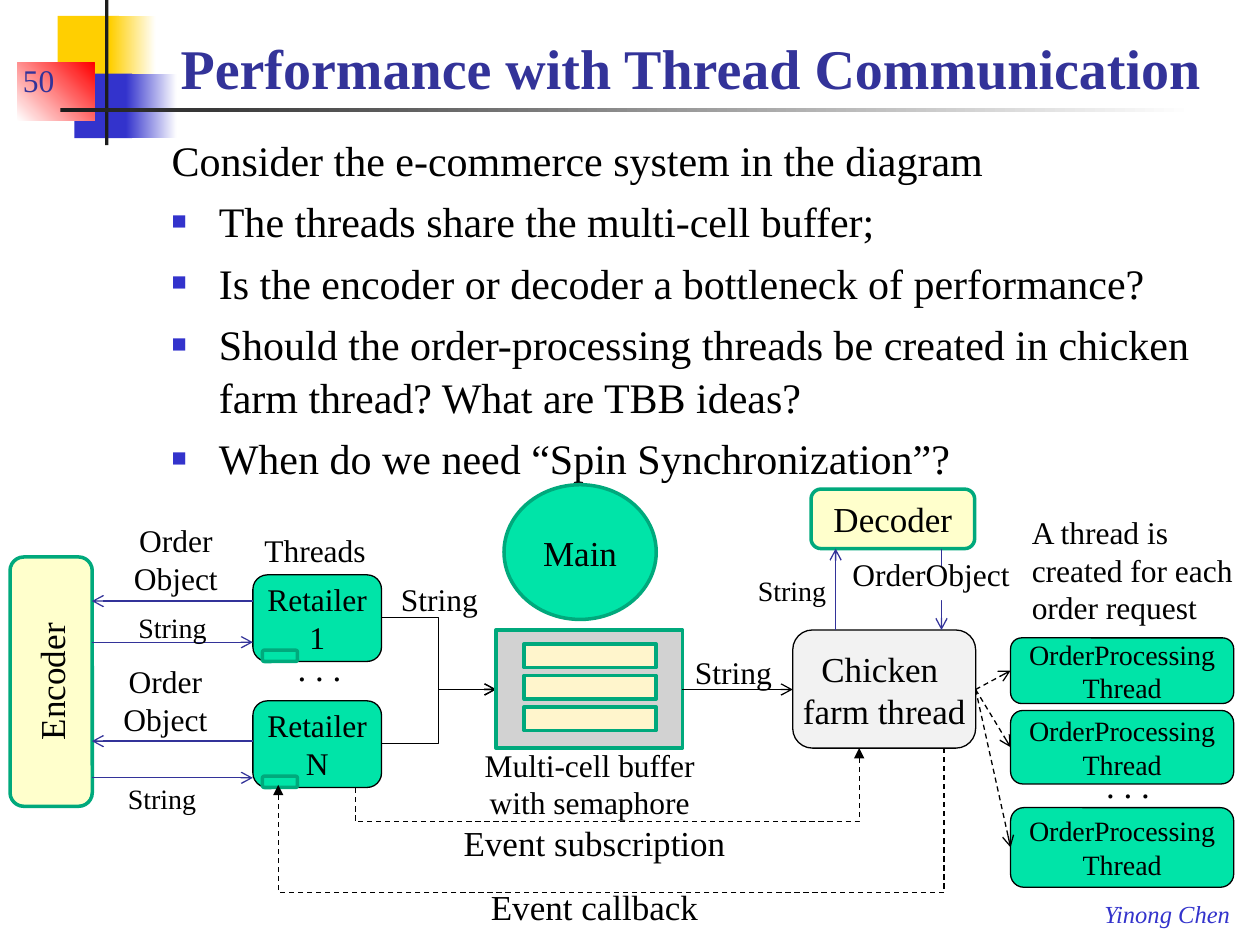
from lxml.etree import SubElement
from pptx import Presentation
from pptx.dml.color import RGBColor
from pptx.enum.dml import MSO_LINE
from pptx.enum.shapes import MSO_CONNECTOR as Link, MSO_SHAPE as Kind
from pptx.enum.text import MSO_ANCHOR as Anchor, MSO_AUTO_SIZE as Auto, PP_ALIGN as Align
from pptx.oxml.ns import qn
from pptx.util import Pt

FONT = "Times New Roman"
BLACK = RGBColor(0, 0, 0)
WHITE = RGBColor(0xFF, 0xFF, 0xFF)
INK = RGBColor(0x1C, 0x1C, 0x1C)
NAVY = RGBColor(0x33, 0x33, 0x99)
BLUE = RGBColor(0x33, 0x33, 0xCC)
GOLD = RGBColor(0xFF, 0xCF, 0x01)
RED = RGBColor(0xFF, 0, 0)
GREEN = RGBColor(0, 0xE4, 0xA8)
EDGE = RGBColor(0, 0xA9, 0x7C)
CREAM = RGBColor(0xFF, 0xFF, 0xCC)
SAND = RGBColor(0xFF, 0xF5, 0xCC)
GREY = RGBColor(0xD2, 0xD2, 0xD2)
PALE = RGBColor(0xF2, 0xF2, 0xF2)

BULLETS = [
    "The threads share the multi-cell buffer;",
    "Is the encoder or decoder a bottleneck of performance?",
    "Should the order-processing threads be created in chicken farm thread? What are TBB ideas?",
    "When do we need “Spin Synchronization”?",
]


def write(shape, text, size, color=BLACK, align=Align.LEFT, anchor=Anchor.TOP,
          wrap=True, bold=False, italic=False):
    frame = shape.text_frame
    frame.text = text
    frame.word_wrap = wrap
    frame.auto_size = Auto.NONE
    frame.vertical_anchor = anchor
    for para in frame.paragraphs:
        para.alignment = align
        for run in para.runs:
            font = run.font
            font.name, font.size = FONT, Pt(size)
            font.bold, font.italic = bold, italic
            font.color.rgb = color


def label(shapes, x, y, w, h, text, size=18, **style):
    box = shapes.add_textbox(Pt(x), Pt(y), Pt(w), Pt(h))
    write(box, text, size, **style)
    return box


def block(shapes, kind, x, y, w, h, fill, edge=None, weight=2, text="", size=20, wrap=True):
    """Filled shape with optional outline and centred text."""
    shape = shapes.add_shape(kind, Pt(x), Pt(y), Pt(w), Pt(h))
    shape.shadow.inherit = False
    shape.fill.solid()
    shape.fill.fore_color.rgb = fill
    if edge is None:
        shape.line.fill.background()
    else:
        shape.line.color.rgb = edge
        shape.line.width = Pt(weight)
    if text:
        write(shape, text, size, align=Align.CENTER, anchor=Anchor.MIDDLE, wrap=wrap)
    return shape


def fade(shapes, x, y, w, h, start, end, angle=0):
    shape = block(shapes, Kind.RECTANGLE, x, y, w, h, start)
    shape.fill.gradient()
    shape.fill.gradient_angle = angle
    for stop, color, spot in zip(shape.fill.gradient_stops, (start, end), (0, 1)):
        stop.color.rgb = color
        stop.position = spot


def stroke(shape, color, head, dash):
    shape.line.color.rgb = color
    shape.line.width = Pt(0.75)
    if dash:
        shape.line.dash_style = MSO_LINE.DASH
    SubElement(shape.line._get_or_add_ln(), qn("a:tailEnd"), type=head)


def arrow(shapes, x1, y1, x2, y2, color=BLACK, kind=Link.STRAIGHT, dash=False):
    link = shapes.add_connector(kind, Pt(x1), Pt(y1), Pt(x2), Pt(y2))
    stroke(link, color, "arrow", dash)
    SubElement(link._element.spPr, qn("a:effectLst"))


def route(shapes, points):
    """Dashed angular path that ends in a solid arrowhead."""
    start, *rest = [(Pt(x), Pt(y)) for x, y in points]
    form = shapes.build_freeform(*start)
    form.add_line_segments(rest, close=False)
    shape = form.convert_to_shape()
    shape.shadow.inherit = False
    shape.fill.background()
    stroke(shape, BLACK, "triangle", True)


def decor(shapes, x, y):
    block(shapes, Kind.RECTANGLE, x + 23, y + 9, 35, 37, GOLD)
    fade(shapes, x + 53, y + 9, 26, 37, GOLD, WHITE)
    block(shapes, Kind.RECTANGLE, x + 32.5, y + 42, 33, 37, BLUE)
    fade(shapes, x + 62, y + 42, 29, 37, BLUE, WHITE)
    fade(shapes, x, y + 36, 44, 33, WHITE, RED, 45)
    block(shapes, Kind.RECTANGLE, x + 50, y, 2, 83, INK)
    fade(shapes, x + 24.5, y + 62, 648, 2, INK, WHITE)
    label(shapes, x - 4, y + 24, 61, 36, "50", color=NAVY, anchor=Anchor.BOTTOM)
    label(shapes, x + 614, y + 510, 86, 24, "Yinong Chen", 14,
          color=BLUE, italic=True, wrap=False)


def heading(title, x, y, w, h):
    title.left, title.top, title.width, title.height = Pt(x), Pt(y), Pt(w), Pt(h)
    write(title, "Performance with Thread Communication", 32, NAVY,
          anchor=Anchor.BOTTOM, bold=True)


def outline(shapes, x, y, w, h):
    lines = ["Consider the e-commerce system in the diagram", *BULLETS]
    box = label(shapes, x, y, w, h, "\n".join(lines), 24)
    for i, para in enumerate(box.text_frame.paragraphs):
        para.line_spacing = 1.05
        if i == 0:
            continue
        para.space_before = Pt(4.8)
        props = para._p.get_or_add_pPr()
        props.set("marL", str(Pt(27)))
        props.set("indent", str(-Pt(27)))
        SubElement(SubElement(props, qn("a:buClr")), qn("a:srgbClr"), val=str(BLUE))
        SubElement(props, qn("a:buSzPct"), val="60000")
        SubElement(props, qn("a:buFont"), typeface=FONT)
        SubElement(props, qn("a:buChar"), char="■")


def sellers(shapes, x, y):
    """Encoder, the two retailers and their links to the buffer."""
    code = block(shapes, Kind.ROUNDED_RECTANGLE, x - 42, y + 76, 142.5, 47, CREAM, EDGE,
                 text="Encoder")
    code.rotation = 270
    label(shapes, x + 144, y + 10, 73.5, 29, "Threads", wrap=False)
    label(shapes, x + 163, y + 76, 40, 32, ". . .", 20, wrap=False)
    label(shapes, x + 222, y + 38, 59, 29, "String", wrap=False)
    # name, box top, order arrow, string arrow, label left, label tops, link height
    rows = [("1", 38.5, 53.5, 77, 69, 4, 55.5, 63),
            ("N", 110.5, 133.5, 154.5, 63, 85, 153, 135)]
    for name, top, out, back, left, order, string, mid in rows:
        block(shapes, Kind.FLOWCHART_ALTERNATE_PROCESS, x + 144.5, y + top, 73.5, 49.5,
              GREEN, BLACK, 0.75, f"Retailer\n{name}", 18, wrap=False)
        block(shapes, Kind.ROUNDED_RECTANGLE, x + 150, y + top + 43, 20, 6.5, GREEN, EDGE)
        arrow(shapes, x + 144.5, y + out, x + 52.5, y + out, NAVY)
        arrow(shapes, x + 52.5, y + back, x + 144.5, y + back, NAVY)
        label(shapes, x + left, y + order, 63, 51, "Order\nObject",
              align=Align.CENTER, wrap=False)
        label(shapes, x + left + 3, y + string, 54, 26.5, "String", 16, wrap=False)
        arrow(shapes, x + 218, y + mid, x + 283.5, y + 104, kind=Link.ELBOW)


def store(shapes, x, y):
    """Main thread above the multi-cell buffer."""
    block(shapes, Kind.OVAL, x + 4.5, y, 87, 77, GREEN, EDGE, text="Main")
    block(shapes, Kind.RECTANGLE, x, y + 83, 106.5, 67.5, GREY, EDGE)
    for i in range(3):
        block(shapes, Kind.RECTANGLE, x + 16, y + 91 + 18 * i, 75.5, 13.5, SAND, EDGE)
    label(shapes, x - 90.5, y + 145.5, 288, 51, "Multi-cell buffer\nwith semaphore",
          align=Align.CENTER)
    arrow(shapes, x + 106.5, y + 117, x + 169.5, y + 117)
    label(shapes, x + 106.5, y + 92.5, 59, 29, "String", wrap=False)


def farm(shapes, x, y):
    block(shapes, Kind.FLOWCHART_ALTERNATE_PROCESS, x, y + 80.5, 104.5, 67.5, PALE, BLACK,
          0.75, "Chicken \nfarm thread", wrap=False)
    block(shapes, Kind.ROUNDED_RECTANGLE, x + 10.5, y, 93.5, 34, CREAM, EDGE, text="Decoder")
    arrow(shapes, x + 85, y + 34, x + 85, y + 80.5, NAVY)
    tag = block(shapes, Kind.RECTANGLE, x + 27, y + 44.5, 105, 19, WHITE)
    write(tag, "OrderObject", 18, wrap=False)
    tag.text_frame.paragraphs[0].line_spacing = Pt(11)
    arrow(shapes, x + 24.5, y + 80.5, x + 24.5, y + 34, NAVY)
    label(shapes, x - 27, y + 44.5, 54, 27, "String", 16, wrap=False)


def orders(shapes, x, y):
    label(shapes, x + 5, y, 131, 73, "A thread is created for each order request")
    for top, tall in [(75, 37.5), (116.5, 42), (172, 45.5)]:
        block(shapes, Kind.ROUNDED_RECTANGLE, x, y + top, 127.5, tall, GREEN, BLACK, 0.75,
              "OrderProcessing Thread", 16)
        arrow(shapes, x - 20, y + 104.5, x, y + top + tall / 2, dash=True)
    label(shapes, x + 47.5, y + 143.5, 40, 32, ". . .", 20, wrap=False)


def events(shapes, x, y):
    route(shapes, [(x + 44, y + 23), (x + 44, y + 42), (x + 332, y + 42), (x + 332, y)])
    route(shapes, [(x + 380.5, y), (x + 380.5, y + 82.5), (x, y + 82.5), (x, y + 21)])
    for text, top in [("Event subscription", 38.5), ("Event callback", 75)]:
        label(shapes, x + 94, y + top, 173.5, 32, text, 20, align=Align.CENTER)


def main():
    deck = Presentation()
    deck.slide_width, deck.slide_height = Pt(720), Pt(540)
    slide = deck.slides.add_slide(deck.slide_layouts[5])
    shapes = slide.shapes
    heading(shapes.title, 96, 12, 618, 49)
    decor(shapes, 10, 0)
    outline(shapes, 91, 72, 617, 194)
    sellers(shapes, 0, 290)
    store(shapes, 283.5, 277)
    farm(shapes, 453, 279.5)
    orders(shapes, 577.5, 289.5)
    events(shapes, 159, 427.5)
    deck.save("out.pptx")


if __name__ == "__main__":
    main()
